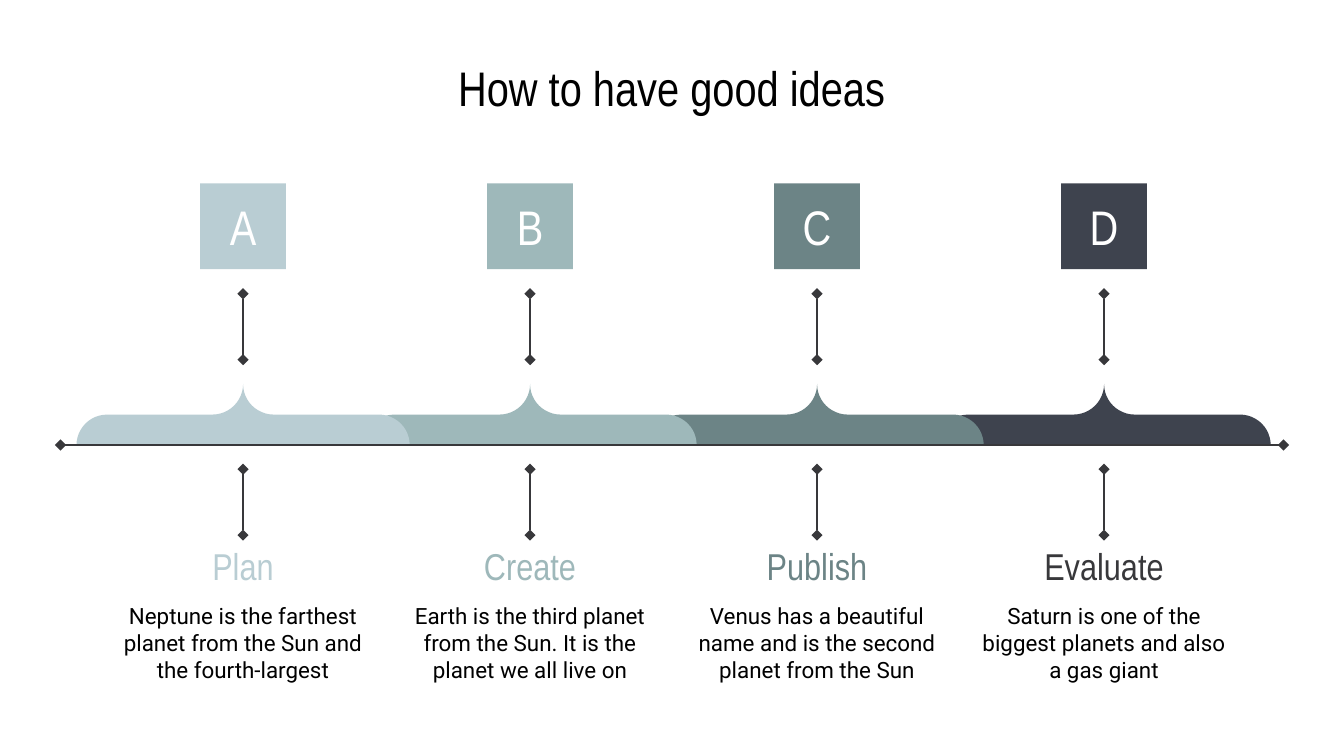
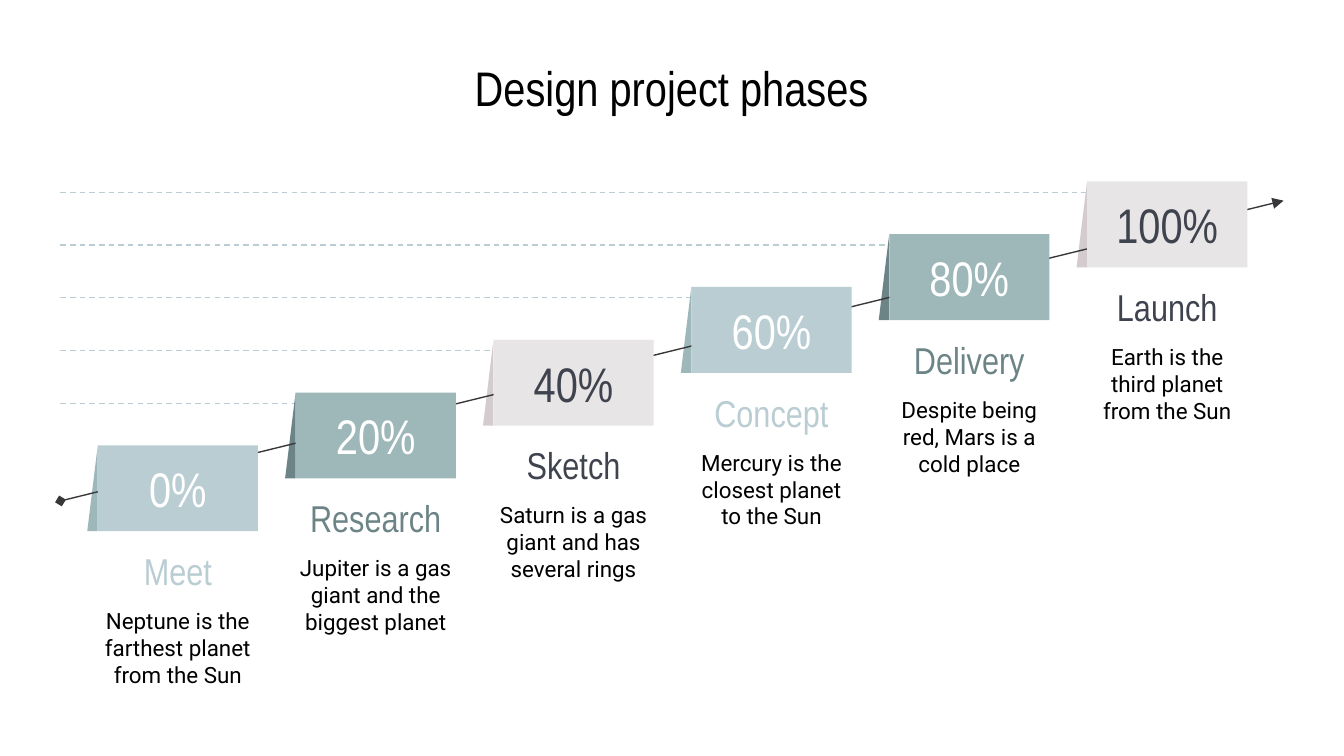
from pptx import Presentation
from pptx.dml.color import RGBColor
from pptx.enum.dml import MSO_LINE
from pptx.enum.shapes import MSO_CONNECTOR, MSO_SHAPE
from pptx.enum.text import MSO_ANCHOR, PP_ALIGN
from pptx.oxml.ns import qn
from pptx.util import Pt
from lxml.etree import SubElement

COLORS = {
    "black": "000000", "white": "FFFFFF", "line": "38383B",
    "mist": "B9CDD3", "sage": "9EB8BA", "slate": "6C8486",
    "ink": "3E434E", "pale": "E8E5E6", "rose": "D4CBCE",
}
HEADING = "Arial Narrow"
BODY = "Roboto"
LEFT, RIGHT = 32.4, 687.6
BLOCK_HEIGHT = 46


class Slides:
    def __init__(self):
        self.deck = Presentation()
        self.deck.slide_width = Pt(720)
        self.deck.slide_height = Pt(405)
        self.page = None

    def color(self, name):
        return RGBColor.from_string(COLORS[name])

    def new_page(self):
        self.page = self.deck.slides.add_slide(self.deck.slide_layouts[6])

    def fill_text(self, box, words, size, font, color):
        frame = box.text_frame
        frame.word_wrap = True
        frame.vertical_anchor = MSO_ANCHOR.MIDDLE
        frame.margin_left = frame.margin_right = Pt(7.2)
        frame.margin_top = frame.margin_bottom = Pt(7.2)
        para = frame.paragraphs[0]
        para.alignment = PP_ALIGN.CENTER
        span = para.add_run()
        span.text = words
        span.font.size = Pt(size)
        span.font.name = font
        span.font.color.rgb = self.color(color)

    def text(self, left, top, width, height, words, size, font, color):
        box = self.page.shapes.add_textbox(Pt(left), Pt(top), Pt(width), Pt(height))
        self.fill_text(box, words, size, font, color)

    def title(self, words):
        self.text(LEFT, 23.8, RIGHT - LEFT, 45.4, words, 26, HEADING, "black")

    def caption(self, center, top, width, name, color, words):
        left = center - width / 2
        self.text(left, top, width, 26.6, name, 20, HEADING, color)
        self.text(left, top + 27, width, 55, words, 12, BODY, "black")

    def shape(self, kind, left, top, width, height, fill):
        shape = self.page.shapes.add_shape(kind, Pt(left), Pt(top), Pt(width), Pt(height))
        shape.shadow.inherit = False
        shape.fill.solid()
        shape.fill.fore_color.rgb = self.color(fill)
        shape.line.fill.background()
        return shape

    def block(self, left, top, width, fill, words, color="white"):
        block = self.shape(MSO_SHAPE.RECTANGLE, left, top, width, BLOCK_HEIGHT, fill)
        self.fill_text(block, words, 26, HEADING, color)

    def brace(self, center, top, width, height, fill):
        brace = self.shape(MSO_SHAPE.LEFT_BRACE, center - height / 2,
                           top + (height - width) / 2, height, width, fill)
        brace.adjustments[0] = 0.5
        brace.adjustments[1] = 0.5
        brace.rotation = 90

    def fold(self, left, top, width, fill):
        fold = self.shape(MSO_SHAPE.RIGHT_TRIANGLE, left, top, width, BLOCK_HEIGHT, fill)
        fold._element.spPr.find(qn("a:xfrm")).set("flipH", "1")

    def line(self, x1, y1, x2, y2, color="line", head=None, tail=None, dashed=False):
        line = self.page.shapes.add_connector(
            MSO_CONNECTOR.STRAIGHT, Pt(x1), Pt(y1), Pt(x2), Pt(y2))
        line.line.color.rgb = self.color(color)
        line.line.width = Pt(0.75)
        if dashed:
            line.line.dash_style = MSO_LINE.DASH
        properties = line._element.spPr
        outline = properties.find(qn("a:ln"))
        for tag, kind in (("a:headEnd", head), ("a:tailEnd", tail)):
            if kind:
                SubElement(outline, qn(tag)).set("type", kind)
        SubElement(properties, qn("a:effectLst"))


def add_ideas(slides):
    steps = [
        ("A", "Plan", "mist", "mist",
         "Neptune is the farthest planet from the Sun and the fourth-largest"),
        ("B", "Create", "sage", "sage",
         "Earth is the third planet from the Sun. It is the planet we all live on"),
        ("C", "Publish", "slate", "slate",
         "Venus has a beautiful name and is the second planet from the Sun"),
        ("D", "Evaluate", "ink", "line",
         "Saturn is one of the biggest planets and also a gas giant"),
    ]
    slides.new_page()
    slides.title("How to have good ideas")
    for index, (letter, name, fill, color, words) in reversed(list(enumerate(steps))):
        center = 130.2 + 153.75 * index
        slides.brace(center, 205.7, 178.5, 32.8, fill)
        slides.block(center - BLOCK_HEIGHT / 2, 98.2, BLOCK_HEIGHT, fill, letter)
        for top in (157.4, 251.4):
            slides.line(center, top, center, top + 35.3, head="diamond", tail="diamond")
        slides.caption(center, 289.6, 152.6, name, color, words)
    slides.line(LEFT, 238.4, RIGHT, 238.4, head="diamond", tail="diamond")


def add_phases(slides):
    phases = [
        ("Meet", "Neptune is the farthest planet from the Sun"),
        ("Research", "Jupiter is a gas giant and the biggest planet"),
        ("Sketch", "Saturn is a gas giant and has several rings"),
        ("Concept", "Mercury is the closest planet to the Sun"),
        ("Delivery", "Despite being red, Mars is a cold place"),
        ("Launch", "Earth is the third planet from the Sun"),
    ]
    looks = [
        ("mist", "sage", "white", "mist"),
        ("sage", "slate", "white", "slate"),
        ("pale", "rose", "ink", "ink"),
    ]
    width, fold_width = 85.8, 5.6
    places = [(52.4 + 106 * index, 238.6 - 28.28 * index) for index in range(len(phases))]
    slides.new_page()
    slides.title("Design project phases")
    for left, top in places[1:]:
        slides.line(LEFT, top + 5.8, left + 10, top + 5.8, "mist", dashed=True)
    for index, (left, top) in enumerate(places):
        slides.fold(left - fold_width, top, fold_width, looks[index % 3][1])
    slides.line(LEFT, 268.4, RIGHT, 107.5, head="diamond", tail="triangle")
    for index, (name, words) in enumerate(phases):
        left, top = places[index]
        fill, _, number_color, name_color = looks[index % 3]
        slides.caption(left + width / 2, top + 53.8, 101, name, name_color, words)
        slides.block(left, top, width, fill, f"{20 * index}%", number_color)


def main():
    slides = Slides()
    add_ideas(slides)
    add_phases(slides)
    slides.deck.save("out.pptx")


if __name__ == "__main__":
    main()
